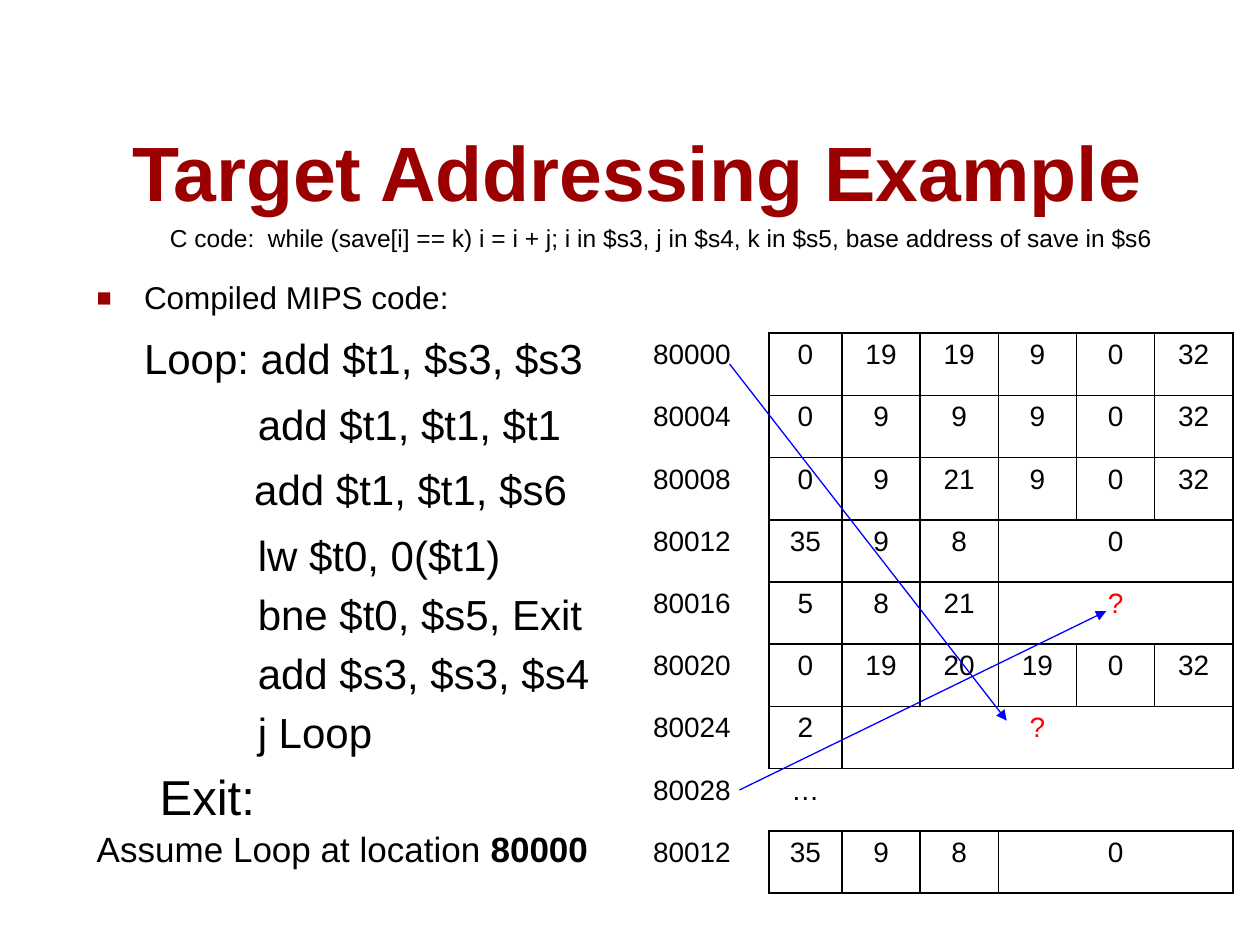
from lxml.etree import SubElement
from pptx import Presentation
from pptx.dml.color import RGBColor
from pptx.enum.shapes import MSO_CONNECTOR
from pptx.enum.text import MSO_ANCHOR, PP_ALIGN
from pptx.oxml.ns import qn
from pptx.util import Pt

BLACK = RGBColor(0x00, 0x00, 0x00)
DARK_RED = RGBColor(0x9A, 0x00, 0x00)
RED = RGBColor(0xFF, 0x00, 0x00)
BLUE = RGBColor(0x00, 0x00, 0xFF)
FONT = "Arial"

TITLE = "Target Addressing Example"
C_CODE = ("C code:  while (save[i] == k) i = i + j; "
          "i in $s3, j in $s4, k in $s5, base address of save in $s6")
HEADING = "Compiled MIPS code:"
# text, size, left margin, line spacing, space before
CODE = [
    ("Loop: add $t1, $s3, $s3", 24, 27, 1.14, 4.8),
    ("add $t1, $t1, $t1", 24, 92, 1.14, 4.8),
    ("add $t1, $t1, $s6", 24, 90, 1.14, 4.8),
    ("lw $t0, 0($t1)", 24, 92, 1.14, 4.8),
    ("bne $t0, $s5, Exit", 24, 92, 1.0, 4.8),
    ("add $s3, $s3, $s4", 24, 92, 1.0, 4.8),
    ("j Loop", 24, 92, 1.0, 4.8),
    ("Exit:", 28, 36, 1.0, 5.6),
]
ASSUMPTION, LOCATION = "Assume Loop at location ", "80000"

# address, fields; the last field of a short row spans the remaining columns
MEMORY = [
    ("80000", ["0", "19", "19", "9", "0", "32"]),
    ("80004", ["0", "9", "9", "9", "0", "32"]),
    ("80008", ["0", "9", "21", "9", "0", "32"]),
    ("80012", ["35", "9", "8", "0"]),
    ("80016", ["5", "8", "21", "?"]),
    ("80020", ["0", "19", "20", "19", "0", "32"]),
    ("80024", ["2", "?"]),
    ("80028", ["…", "", "", "", "", ""]),
    ("80012", ["35", "9", "8", "0"]),
]
GAP_ROW = 7
COLUMN_WIDTHS = [73.4, 41.7] + [44.7] * 5
ROW_HEIGHT = 35.55
TABLE_LEFT, TABLE_TOP = 366, 190.4

ARROWS = [((416.9, 208), (575.3, 411.8)), ((422.6, 451.4), (632.2, 349.2))]


def add_text_frame(slide, left, top, width, height):
    frame = slide.shapes.add_textbox(Pt(left), Pt(top), Pt(width), Pt(height)).text_frame
    frame.word_wrap = True
    return frame


def set_font(paragraph, size, color=BLACK, bold=False):
    font = paragraph.font
    font.name, font.size, font.bold = FONT, Pt(size), bold
    font.color.rgb = color


def set_square_bullet(paragraph, indent):
    props = paragraph._p.get_or_add_pPr()
    props.set("marL", str(Pt(indent)))
    props.set("indent", str(-Pt(indent)))
    color = SubElement(props, qn("a:buClr"))
    SubElement(color, qn("a:srgbClr"), val=str(DARK_RED))
    SubElement(props, qn("a:buSzPct"), val="80000")
    SubElement(props, qn("a:buFont"), typeface=FONT)
    SubElement(props, qn("a:buChar"), char="■")


def set_borders(cell, drawn):
    """Draw the sides whose letters (L, R, T, B) are in drawn; hide the others."""
    props = cell._tc.get_or_add_tcPr()
    for side in "LRTB":
        line = SubElement(props, qn(f"a:ln{side}"), w=str(Pt(1)))
        if side in drawn:
            fill = SubElement(line, qn("a:solidFill"))
            SubElement(fill, qn("a:srgbClr"), val=str(BLACK))
        else:
            SubElement(line, qn("a:noFill"))


def add_code(slide):
    frame = add_text_frame(slide, 48.2, 158, 313.2, 334)
    heading = frame.paragraphs[0]
    heading.text = HEADING
    heading.line_spacing = 0.9
    set_square_bullet(heading, 27)
    set_font(heading, 18)
    for text, size, margin, spacing, before in CODE:
        line = frame.add_paragraph()
        line.text = text
        line.line_spacing, line.space_before = spacing, Pt(before)
        line._p.get_or_add_pPr().set("marL", str(Pt(margin)))
        set_font(line, size)
    assumption = frame.add_paragraph()
    assumption.line_spacing, assumption.space_before = 0.9, Pt(4)
    set_font(assumption, 20)
    assumption.add_run().text = ASSUMPTION
    location = assumption.add_run()
    location.text, location.font.bold = LOCATION, True


def add_memory(slide):
    last = len(COLUMN_WIDTHS) - 1
    table = slide.shapes.add_table(
        len(MEMORY), len(COLUMN_WIDTHS), Pt(TABLE_LEFT), Pt(TABLE_TOP),
        Pt(sum(COLUMN_WIDTHS)), Pt(ROW_HEIGHT * len(MEMORY))).table
    table.first_row = table.horz_banding = False
    for column, width in zip(table.columns, COLUMN_WIDTHS):
        column.width = Pt(width)
    for r, (address, fields) in enumerate(MEMORY):
        table.rows[r].height = Pt(ROW_HEIGHT)
        for c in range(last + 1):
            cell = table.cell(r, c)
            if c == 0:
                drawn = "" if r == GAP_ROW else "R"
            else:
                drawn = "TB" if r == GAP_ROW else "LRTB"
            set_borders(cell, drawn)
            cell.fill.background()
        if len(fields) < last:
            table.cell(r, len(fields)).merge(table.cell(r, last))
        for c, text in enumerate([address] + fields):
            paragraph = table.cell(r, c).text_frame.paragraphs[0]
            paragraph.text = text
            paragraph.alignment = PP_ALIGN.CENTER if c else PP_ALIGN.LEFT
            set_font(paragraph, 16, RED if text == "?" else BLACK)


def add_arrow(slide, start, end):
    arrow = slide.shapes.add_connector(
        MSO_CONNECTOR.STRAIGHT, *(Pt(v) for v in start + end))
    arrow.line.color.rgb = BLUE
    arrow.line.width = Pt(0.75)
    SubElement(arrow.line._get_or_add_ln(), qn("a:tailEnd"), type="triangle")
    SubElement(arrow._element.spPr, qn("a:effectLst"))


def main():
    deck = Presentation()
    deck.slide_width, deck.slide_height = Pt(720), Pt(540)
    slide = deck.slides.add_slide(deck.slide_layouts[6])

    title = add_text_frame(slide, 68.4, 67.7, 643, 59.8)
    title.vertical_anchor = MSO_ANCHOR.BOTTOM
    title.text = TITLE
    set_font(title.paragraphs[0], 44, DARK_RED, bold=True)

    add_code(slide)
    add_memory(slide)
    for start, end in ARROWS:
        add_arrow(slide, start, end)

    c_code = add_text_frame(slide, 90, 123.8, 584, 24)
    c_code.text = C_CODE
    set_font(c_code.paragraphs[0], 14)

    deck.save("out.pptx")


if __name__ == "__main__":
    main()
